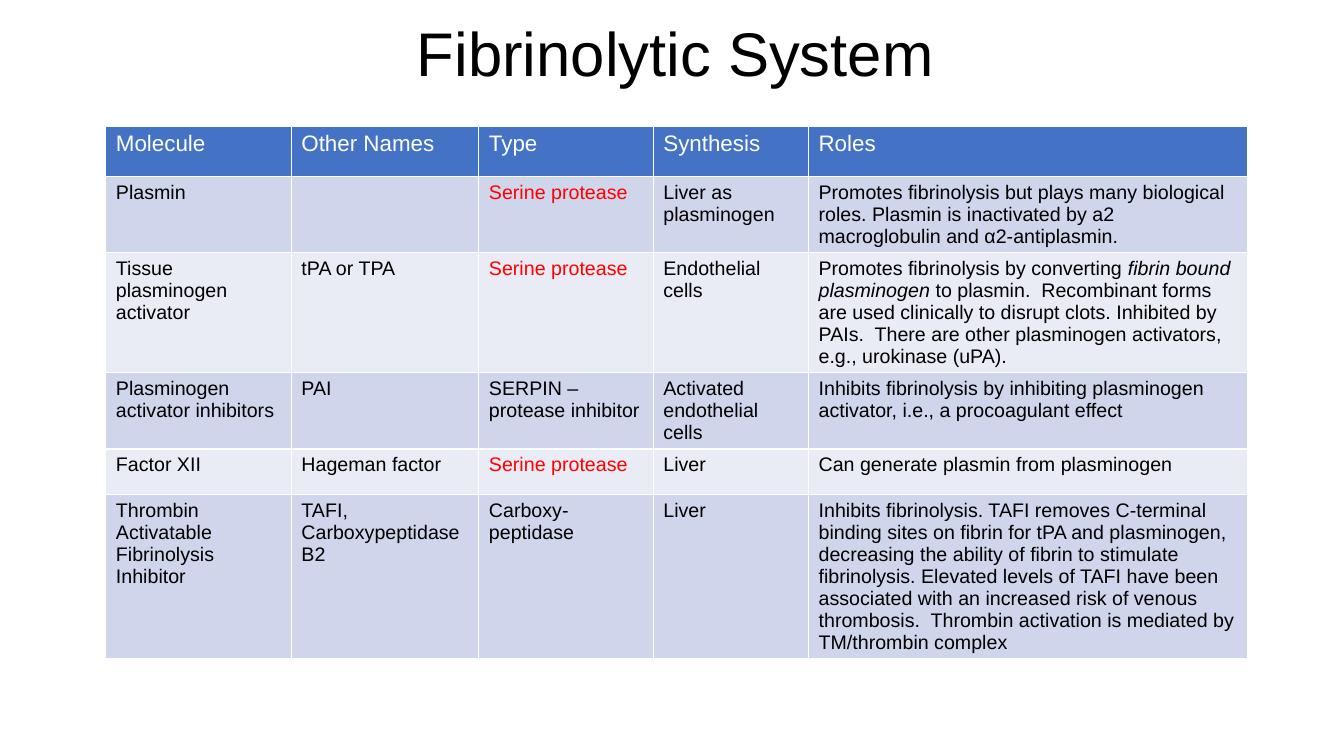
"""Build the Fibrinolytic System slide with its table of molecules."""
from pptx import Presentation
from pptx.dml.color import RGBColor
from pptx.enum.text import MSO_ANCHOR, PP_ALIGN
from pptx.util import Inches, Pt


def color(code):
    return RGBColor.from_string(code)


def style(font, size, code):
    font.name = "Arial"
    font.size = Pt(size)
    font.bold = False
    font.color.rgb = color(code)


PROTEASE = "Serine protease"
COLUMN_WIDTHS = [1.84, 1.86, 1.73, 1.54, 4.35]
ROW_HEIGHTS = [0.5, 0.47, 0.83, 0.65, 0.45, 1.2]
ROWS = [
    ["Molecule", "Other Names", "Type", "Synthesis", "Roles"],
    ["Plasmin", "", PROTEASE, "Liver as plasminogen",
     "Promotes fibrinolysis but plays many biological roles. Plasmin is "
     "inactivated by a2 macroglobulin and α2-antiplasmin."],
    ["Tissue plasminogen activator", "tPA or TPA", PROTEASE, "Endothelial cells",
     "Promotes fibrinolysis by converting *fibrin bound plasminogen *to plasmin.  "
     "Recombinant forms are used clinically to disrupt clots. Inhibited by PAIs.  "
     "There are other plasminogen activators, e.g., urokinase (uPA)."],
    ["Plasminogen activator inhibitors", "PAI", "SERPIN – protease inhibitor",
     "Activated endothelial cells",
     "Inhibits fibrinolysis by inhibiting plasminogen activator, i.e., "
     "a procoagulant effect"],
    ["Factor XII", "Hageman factor", PROTEASE, "Liver",
     "Can generate plasmin from plasminogen"],
    ["Thrombin Activatable Fibrinolysis Inhibitor", "TAFI, Carboxypeptidase B2",
     "Carboxy-peptidase", "Liver",
     "Inhibits fibrinolysis. TAFI removes C-terminal binding sites on fibrin for "
     "tPA and plasminogen, decreasing the ability of fibrin to stimulate "
     "fibrinolysis. Elevated levels of TAFI have been associated with an increased "
     "risk of venous thrombosis.  Thrombin activation is mediated by "
     "TM/thrombin complex"],
]

deck = Presentation()
deck.slide_width = Inches(13.33)
deck.slide_height = Inches(7.5)
page = deck.slides.add_slide(deck.slide_layouts[6])

table = page.shapes.add_table(
    len(ROWS), len(COLUMN_WIDTHS),
    Inches(1.05), Inches(1.25), Inches(11.32), Inches(4.1)).table
for column, width in zip(table.columns, COLUMN_WIDTHS):
    column.width = Inches(width)
for row, height in zip(table.rows, ROW_HEIGHTS):
    row.height = Inches(height)

for row_index, texts in enumerate(ROWS):
    is_header = row_index == 0
    band = "4472C4" if is_header else ("E9EBF5", "CFD5EA")[row_index % 2]
    for column_index, text in enumerate(texts):
        cell = table.cell(row_index, column_index)
        cell.fill.solid()
        cell.fill.fore_color.rgb = color(band)
        para = cell.text_frame.paragraphs[0]
        ink = "FFFFFF" if is_header else "FF0000" if text == PROTEASE else "000000"
        for part_index, part in enumerate(text.split("*")):
            span = para.add_run()
            span.text = part
            style(span.font, 16 if is_header else 14, ink)
            span.font.italic = part_index % 2 == 1

title = page.shapes.add_textbox(Inches(2.36), Inches(0.17), Inches(8.68), Inches(0.77))
frame = title.text_frame
frame.word_wrap = True
frame.vertical_anchor = MSO_ANCHOR.BOTTOM
frame.text = "Fibrinolytic System"
heading = frame.paragraphs[0]
heading.alignment = PP_ALIGN.CENTER
heading.line_spacing = 0.9
style(heading.runs[0].font, 44, "000000")

deck.save("out.pptx")
